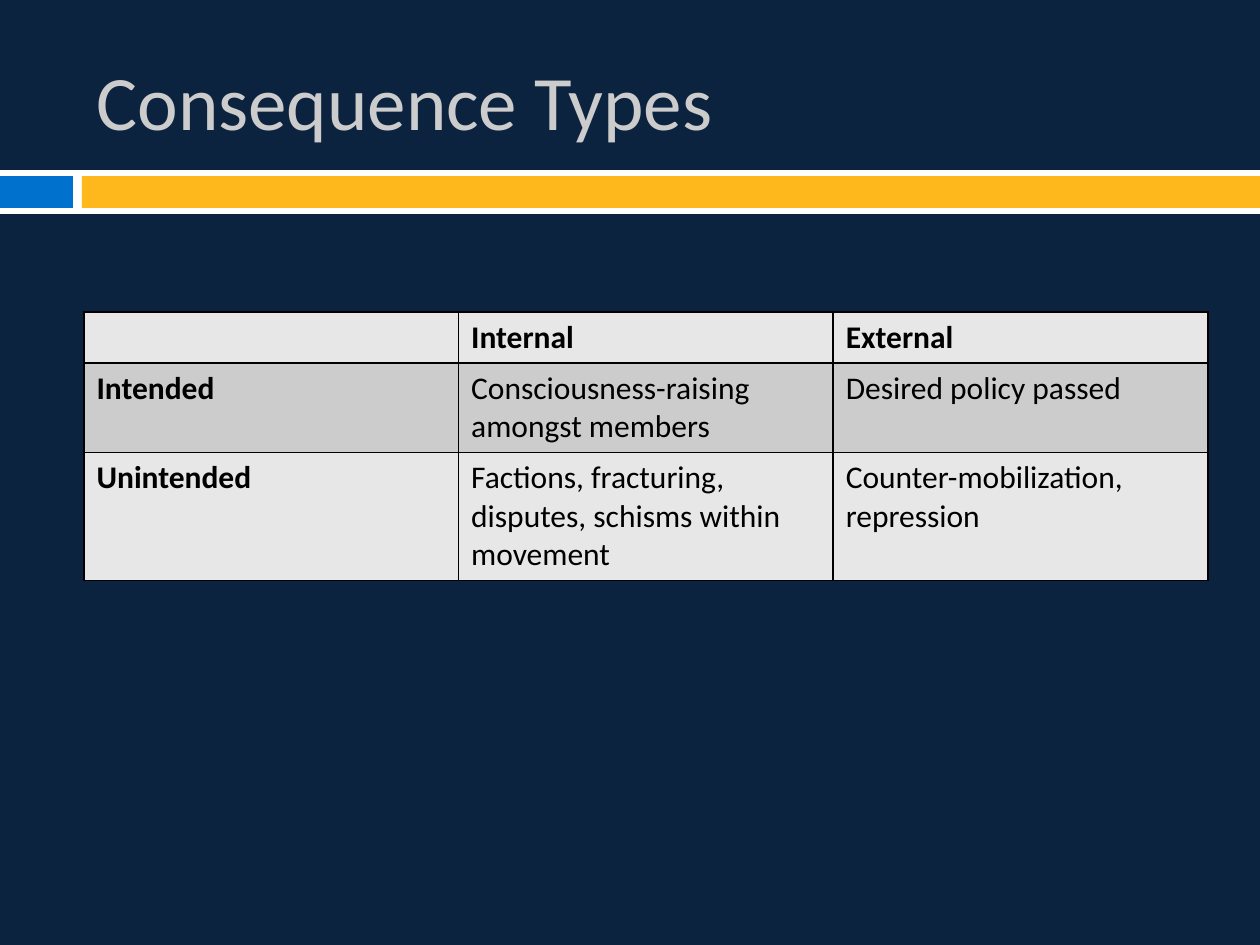
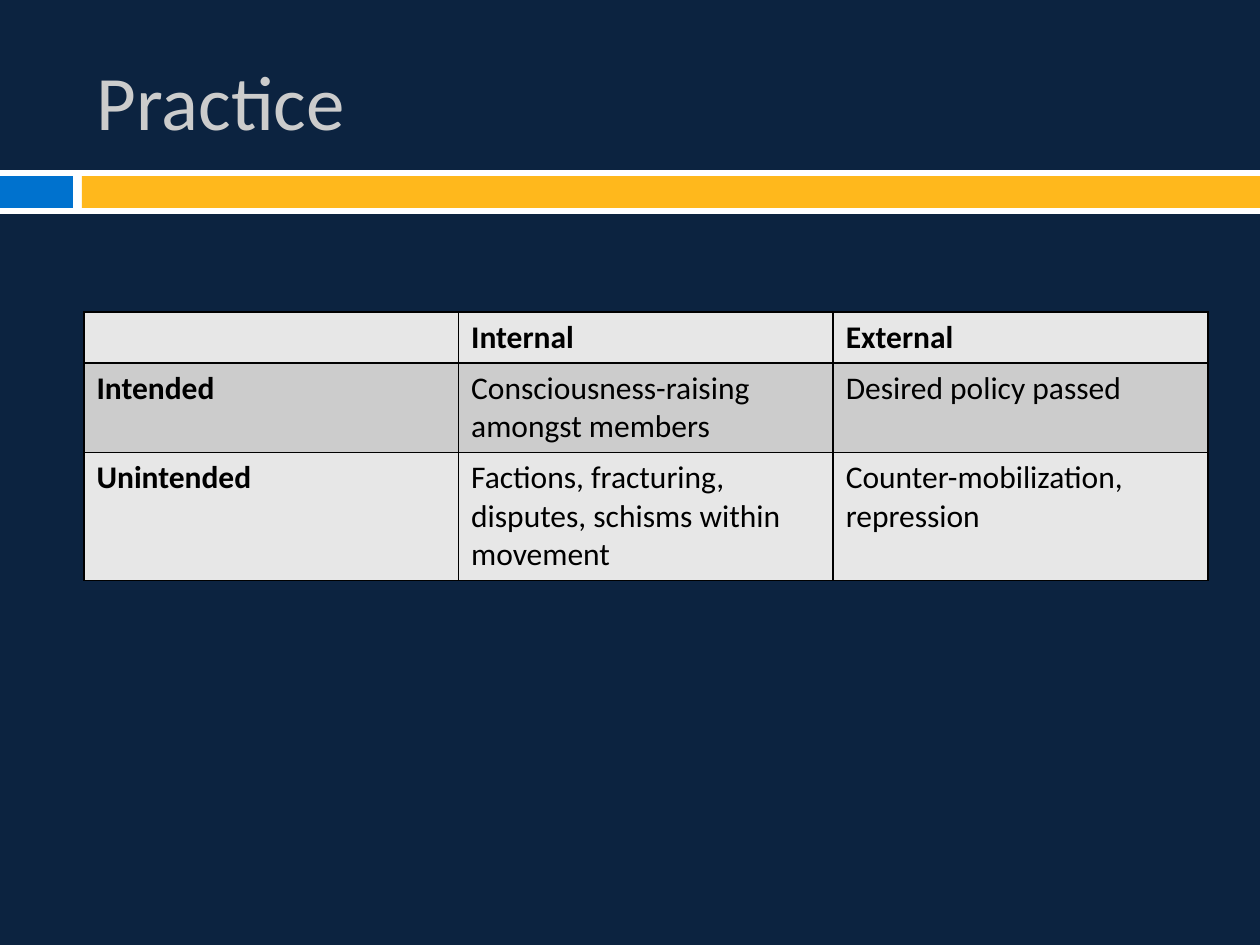
import lxml.etree
import pptx
import pptx.dml.color
import pptx.enum.shapes
import pptx.enum.text
import pptx.oxml.ns
import pptx.util

PX_PER_INCH = 126
SLIDE_WIDTH, SLIDE_HEIGHT = 1260, 945
FONT = "Calibri"
NAVY, WHITE, BLUE, GOLD = "0C2340", "FFFFFF", "0072CE", "FFB81C"
BLACK, LIGHT_GRAY, GRAY = "000000", "E7E7E7", "CCCCCC"

TITLE_BOX = (84, 32, 1124, 136)
BAND_BOX = (0, 170, SLIDE_WIDTH, 44)
TABLE_BOX = (84, 312, 1124, 268)
ROW_HEIGHTS = (51, 89, 128)

TITLES = ("Consequence Types", "Practice")
CONSEQUENCES = (
    ("", "Internal", "External"),
    ("Intended", "Consciousness-raising amongst members", "Desired policy passed"),
    ("Unintended", "Factions, fracturing, disputes, schisms within movement",
     "Counter-mobilization, repression"),
)


def px(length):
    return pptx.util.Emu(round(length * 914400 / PX_PER_INCH))


def color(hex_string):
    return pptx.dml.color.RGBColor.from_string(hex_string)


def paint(fill, hex_string):
    fill.solid()
    fill.fore_color.rgb = color(hex_string)


def add_run(paragraph, text, size, hex_string, bold=False):
    run = paragraph.add_run()
    run.text = text
    run.font.name = FONT
    run.font.size = pptx.util.Pt(size)
    run.font.bold = bold
    run.font.color.rgb = color(hex_string)


def add_rectangle(slide, box, hex_string):
    shape = slide.shapes.add_shape(
        pptx.enum.shapes.MSO_SHAPE.RECTANGLE, *map(px, box))
    shape.shadow.inherit = False
    paint(shape.fill, hex_string)
    shape.line.fill.background()


def add_band(slide, box):
    """White strip holding a short blue bar and a long gold bar."""
    left, top, width, height = box
    margin, blue_width, gap = 6, 73, 9
    bar_top, bar_height = top + margin, height - 2 * margin
    gold_offset = blue_width + gap
    add_rectangle(slide, box, WHITE)
    add_rectangle(slide, (left, bar_top, blue_width, bar_height), BLUE)
    add_rectangle(slide, (left + gold_offset, bar_top,
                          width - gold_offset, bar_height), GOLD)


def set_title(slide, box, text):
    title = slide.shapes.title
    title.left, title.top, title.width, title.height = map(px, box)
    frame = title.text_frame
    frame.word_wrap = True
    frame.vertical_anchor = pptx.enum.text.MSO_ANCHOR.MIDDLE
    paragraph = frame.paragraphs[0]
    paragraph.alignment = pptx.enum.text.PP_ALIGN.LEFT
    add_run(paragraph, text, 44, GRAY)


def add_cell_borders(cell, hex_string, points):
    properties = cell._tc.get_or_add_tcPr()
    for side in ("a:lnL", "a:lnR", "a:lnT", "a:lnB"):
        line = lxml.etree.SubElement(
            properties, pptx.oxml.ns.qn(side), w=str(pptx.util.Pt(points)))
        fill = lxml.etree.SubElement(line, pptx.oxml.ns.qn("a:solidFill"))
        lxml.etree.SubElement(fill, pptx.oxml.ns.qn("a:srgbClr"), val=hex_string)


def add_consequence_table(slide, box, rows):
    column_count = len(rows[0])
    table = slide.shapes.add_table(len(rows), column_count, *map(px, box)).table
    table.first_row = table.horz_banding = False
    for column in table.columns:
        column.width = px(box[2] / column_count)
    for row_index, texts in enumerate(rows):
        table.rows[row_index].height = px(ROW_HEIGHTS[row_index])
        for column_index, text in enumerate(texts):
            cell = table.cell(row_index, column_index)
            add_cell_borders(cell, BLACK, 1)
            paint(cell.fill, GRAY if row_index % 2 else LIGHT_GRAY)
            if text:
                is_heading = row_index == 0 or column_index == 0
                add_run(cell.text_frame.paragraphs[0], text, 18, BLACK, is_heading)


def add_table_slide(presentation, title, rows):
    title_only = presentation.slide_layouts.get_by_name("Title Only")
    slide = presentation.slides.add_slide(title_only)
    add_band(slide, BAND_BOX)
    set_title(slide, TITLE_BOX, title)
    add_consequence_table(slide, TABLE_BOX, rows)


def main():
    presentation = pptx.Presentation()
    presentation.slide_width = px(SLIDE_WIDTH)
    presentation.slide_height = px(SLIDE_HEIGHT)
    paint(presentation.slide_master.background.fill, NAVY)
    for title in TITLES:
        add_table_slide(presentation, title, CONSEQUENCES)
    presentation.save("out.pptx")


if __name__ == "__main__":
    main()
